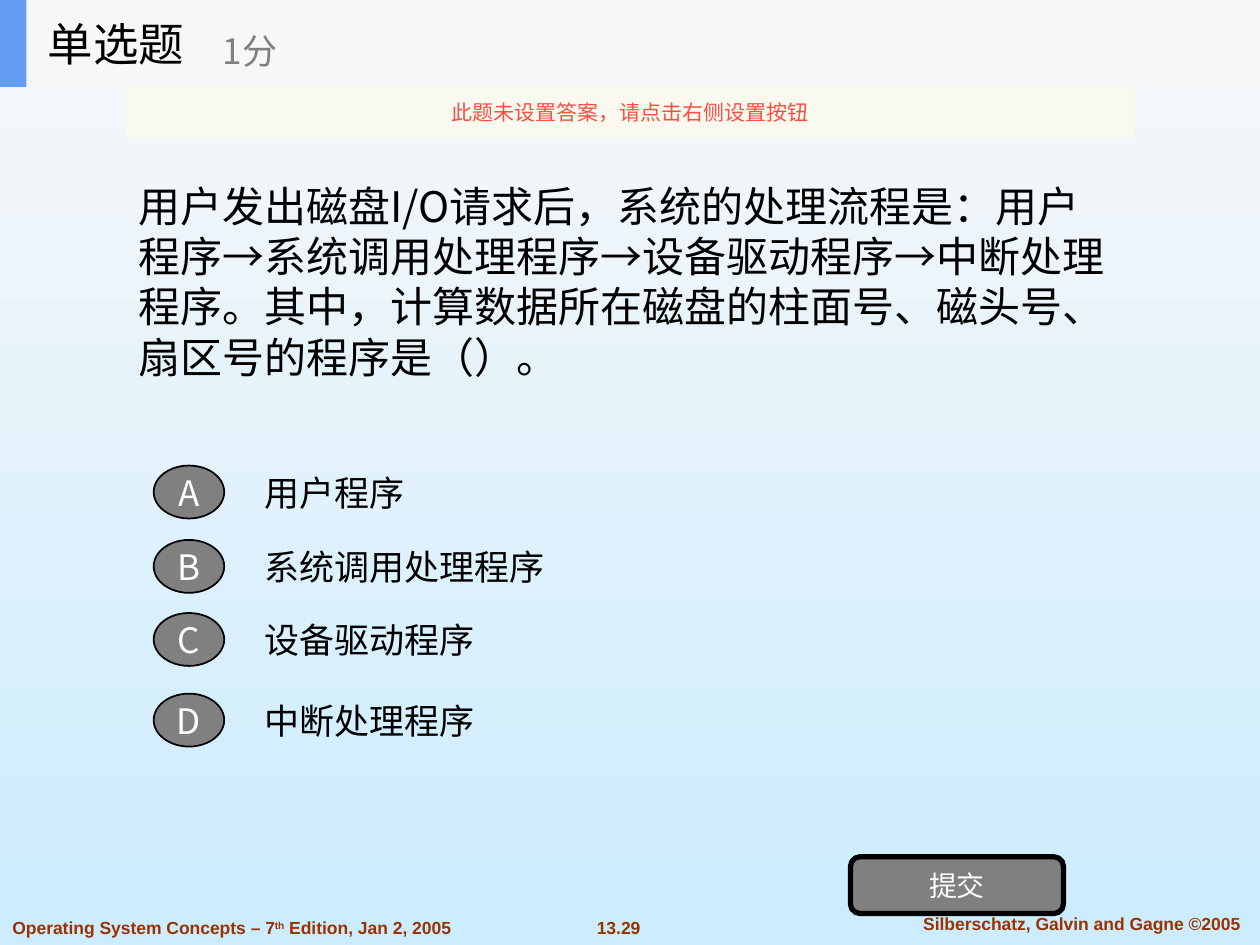
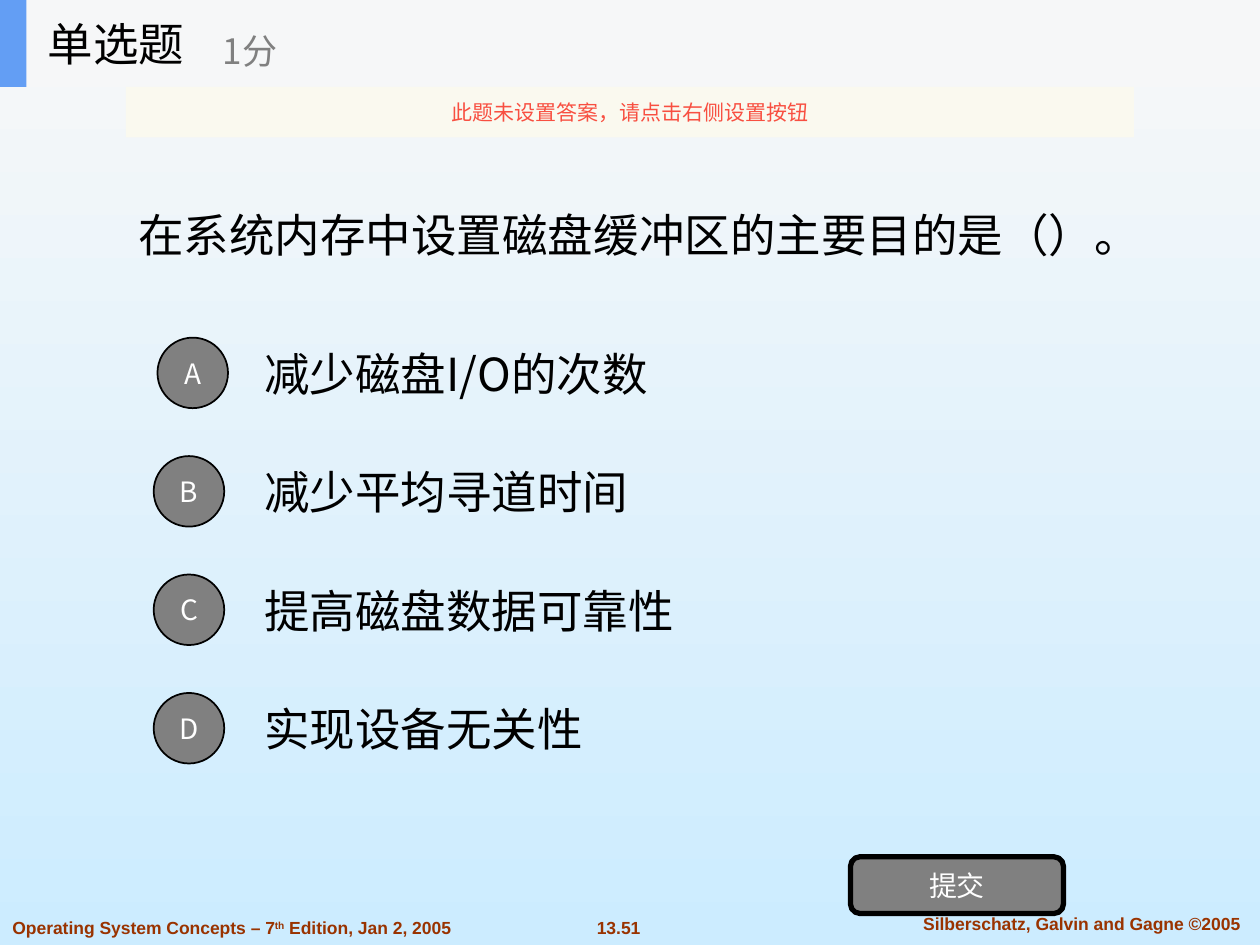
from dataclasses import dataclass

from lxml import etree
from pptx import Presentation
from pptx.dml.color import RGBColor
from pptx.enum.shapes import MSO_SHAPE
from pptx.enum.text import MSO_ANCHOR, MSO_AUTO_SIZE, PP_ALIGN
from pptx.oxml.ns import qn
from pptx.util import Inches, Pt

RECTANGLE = MSO_SHAPE.RECTANGLE
ROUNDED = MSO_SHAPE.ROUNDED_RECTANGLE
OVAL = MSO_SHAPE.OVAL
LEFT = PP_ALIGN.LEFT
CENTER = PP_ALIGN.CENTER
MIDDLE = MSO_ANCHOR.MIDDLE
TOP = MSO_ANCHOR.TOP
NO_FIT = MSO_AUTO_SIZE.NONE

TITLE_ONLY = 5
BODY_FONT = "Noto Sans CJK SC"
FOOTER_FONT = "Arial"
COLORS = {
    "sky_top": "F8F8F8",
    "sky_bottom": "CCECFF",
    "band": "F6F7F8",
    "accent": "639EF4",
    "notice": "FBFAEF",
    "warning": "F84F41",
    "gray": "808080",
    "black": "000000",
    "white": "FFFFFF",
    "footer": "993300",
}


@dataclass
class Question:
    """A single-choice question and the measures of its layout."""
    number: str
    text: str
    text_top: float
    text_size: int
    options: list
    option_tops: list
    option_height: float
    option_size: int
    badge_height: float
    badge_size: int
    badge_lefts: list


QUESTIONS = [
    Question(
        number="13.29",
        text="用户发出磁盘I/O请求后，系统的处理流程是：用户程序→系统调用处理程序"
             "→设备驱动程序→中断处理程序。其中，计算数据所在磁盘的柱面号、"
             "磁头号、扇区号的程序是（）。",
        text_top=1.06,
        text_size=24,
        options=["用户程序", "系统调用处理程序", "设备驱动程序", "中断处理程序"],
        option_tops=[3.64, 4.23, 4.81, 5.45],
        option_height=0.53,
        option_size=20,
        badge_height=0.42,
        badge_size=20,
        badge_lefts=[1.22] * 4,
    ),
    Question(
        number="13.51",
        text="在系统内存中设置磁盘缓冲区的主要目的是（）。",
        text_top=0.69,
        text_size=26,
        options=["减少磁盘I/O的次数", "减少平均寻道时间", "提高磁盘数据可靠性", "实现设备无关性"],
        option_tops=[2.61 + 0.94 * row for row in range(4)],
        option_height=0.7,
        option_size=26,
        badge_height=0.56,
        badge_size=16,
        badge_lefts=[1.25] + [1.22] * 3,
    ),
]


def color(name):
    """Return the palette colour with this name."""
    return RGBColor.from_string(COLORS[name])


def style_span(span, size, color_name, font=BODY_FONT, bold=False):
    """Format one run, for Latin and East Asian letters alike."""
    span.font.name = font
    span.font.size = Pt(size)
    span.font.bold = bold
    span.font.color.rgb = color(color_name)
    east_asian = etree.SubElement(span.font._element, qn("a:ea"))
    east_asian.set("typeface", font)


def write(shape, text, size, color_name, align=LEFT, anchor=MIDDLE):
    """Put one formatted paragraph into a shape."""
    frame = shape.text_frame
    frame.text = text
    frame.word_wrap = True
    frame.auto_size = NO_FIT
    frame.vertical_anchor = anchor
    para = frame.paragraphs[0]
    para.alignment = align
    style_span(para.runs[0], size, color_name)


def add_text(page, place, text, size, color_name):
    """Add a left-aligned text box."""
    box = page.shapes.add_textbox(*map(Inches, place))
    write(box, text, size, color_name)


def add_block(page, kind, place, fill, line_width=0):
    """Add a filled preset shape, outlined in black if a width is given."""
    block = page.shapes.add_shape(kind, *map(Inches, place))
    block.shadow.inherit = False
    block.fill.solid()
    block.fill.fore_color.rgb = color(fill)
    if line_width:
        block.line.color.rgb = color("black")
        block.line.width = Pt(line_width)
    else:
        block.line.fill.background()
    return block


def add_footer(page, place, pieces, align):
    """Add a footer text; each piece is a text and its superscript flag."""
    box = page.shapes.add_textbox(*map(Inches, place))
    box.text_frame.word_wrap = True
    para = box.text_frame.paragraphs[0]
    para.alignment = align
    for text, raised in pieces:
        span = para.add_run()
        span.text = text
        style_span(span, 10, "footer", FOOTER_FONT, bold=True)
        if raised:
            span.font._element.set("baseline", "30000")


def add_footers(page, number):
    """Add the book title, the page number and the copyright line."""
    edition = [("Operating System Concepts – 7", False), ("th", True),
               (" Edition, Jan 2, 2005", False)]
    add_footer(page, (0, 7.23, 3.9, 0.27), edition, LEFT)
    add_footer(page, (4.41, 7.23, 1, 0.27), [(number, False)], CENTER)
    add_footer(page, (7.1, 7.2, 2.97, 0.27),
               [("Silberschatz, Galvin and Gagne ©2005", False)], CENTER)


def add_header(page):
    """Add the title band with the question type and its score."""
    add_block(page, RECTANGLE, (0, 0, 10, 0.69), "band")
    add_block(page, RECTANGLE, (0, 0, 0.21, 0.69), "accent")
    title = page.shapes.title
    title.left, title.top, title.width, title.height = map(Inches, (0.28, 0, 2.08, 0.69))
    write(title, "单选题", 26, "black")
    title.element.getparent().append(title.element)
    add_text(page, (1.67, 0.12, 2.5, 0.56), "1分", 20, "gray")


def add_notice(page):
    """Add the slightly transparent notice under the header."""
    notice = add_block(page, RECTANGLE, (1, 0.69, 8, 0.4), "notice")
    tint = notice.fill._xPr.find(qn("a:solidFill"))[0]
    etree.SubElement(tint, qn("a:alpha")).set("val", "90000")
    write(notice, "此题未设置答案，请点击右侧设置按钮", 12, "warning", CENTER)


def add_badge(page, place, letter, size):
    """Add the round letter in front of an option."""
    badge = add_block(page, OVAL, place, "gray", 1)
    write(badge, letter, size, "white", CENTER)
    frame = badge.text_frame
    frame.margin_left = frame.margin_right = frame.margin_top = frame.margin_bottom = 0


def add_options(page, question):
    """Add the lettered options of a question."""
    rows = zip("ABCD", question.options, question.option_tops, question.badge_lefts)
    for letter, option, top, left in rows:
        add_text(page, (2, top, 7, question.option_height), option,
                 question.option_size, "black")
        badge_top = top + (question.option_height - question.badge_height) / 2
        add_badge(page, (left, badge_top, 0.56, question.badge_height),
                  letter, question.badge_size)


def add_question_page(deck, question):
    """Add one question slide."""
    page = deck.slides.add_slide(deck.slide_layouts[TITLE_ONLY])
    add_footers(page, question.number)
    add_text(page, (1, question.text_top, 8, 2.34), question.text,
             question.text_size, "black")
    add_options(page, question)
    submit = add_block(page, ROUNDED, (6.75, 6.8, 1.69, 0.45), "gray", 3)
    write(submit, "提交", 16, "white", CENTER)
    add_header(page)
    add_notice(page)


def set_background(deck):
    """Give the slide master its vertical gradient."""
    fill = deck.slide_master.background.fill
    fill.gradient()
    fill.gradient_angle = 270
    for stop, name in zip(fill.gradient_stops, ("sky_top", "sky_bottom")):
        stop.color.rgb = color(name)


def main():
    """Build and save the deck."""
    deck = Presentation()
    deck.slide_width = Inches(10)
    deck.slide_height = Inches(7.5)
    set_background(deck)
    for question in QUESTIONS:
        add_question_page(deck, question)
    deck.save("out.pptx")


if __name__ == "__main__":
    main()
